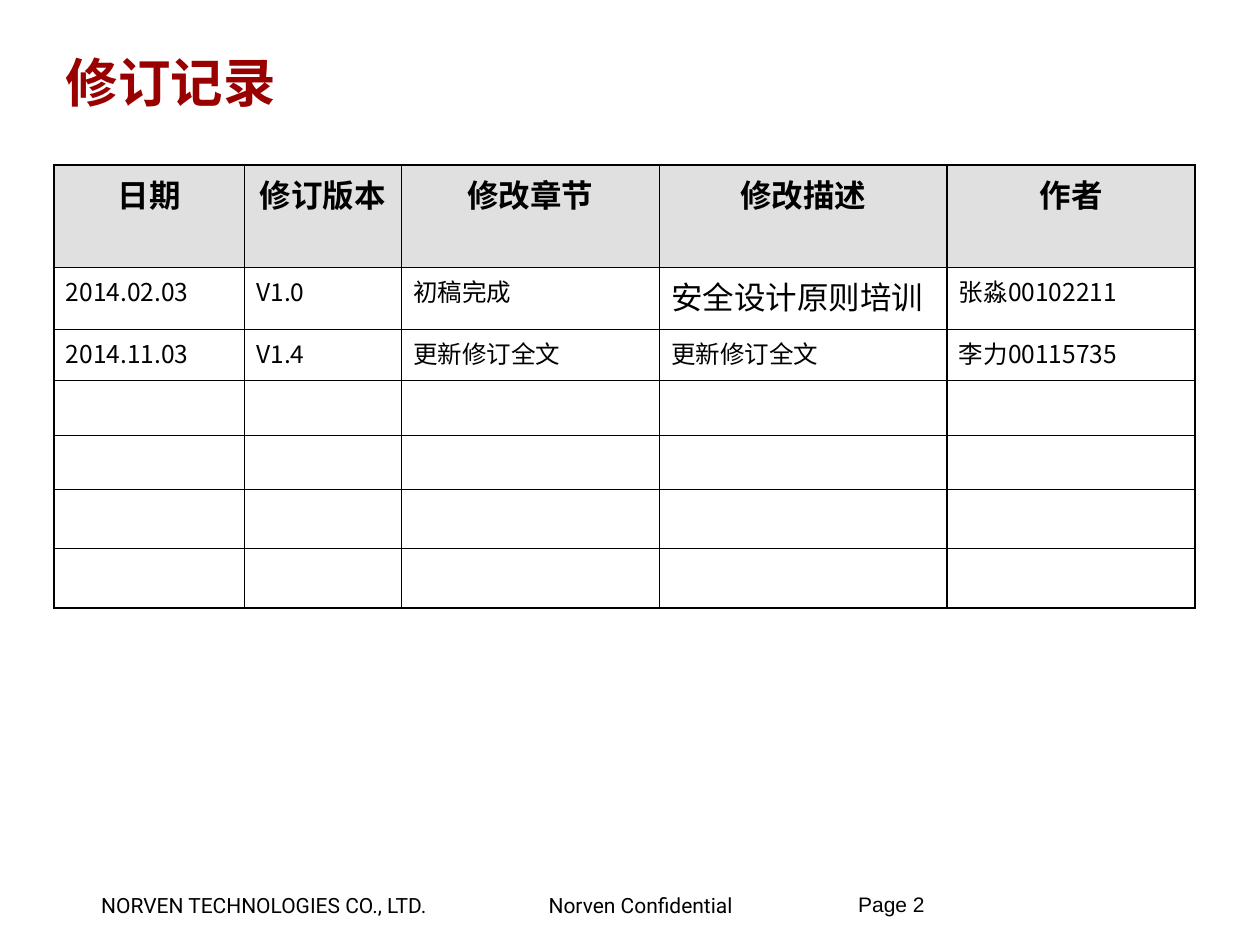
from dataclasses import dataclass

from lxml.etree import SubElement
from pptx import Presentation
from pptx.dml.color import RGBColor
from pptx.enum.text import MSO_ANCHOR, MSO_AUTO_SIZE, PP_ALIGN
from pptx.oxml.ns import qn
from pptx.util import Cm, Pt


@dataclass(frozen=True)
class Theme:
    ink: str = "000000"
    title_red: str = "990000"
    header_grey: str = "E0E0E0"
    chinese_font: str = "Noto Sans CJK SC"
    footer_font: str = "Roboto"
    page_font: str = "Arial"
    title_size: int = 30
    header_size: int = 18
    body_size: int = 14
    footer_size: int = 12
    border_width: float = 1
    margin_x: float = 0.24
    margin_y: float = 0.11


class RevisionPage:
    def __init__(self, deck, theme):
        self.theme = theme
        self.page = deck.slides.add_slide(deck.slide_layouts[5])

    def add_span(self, paragraph, text, size, font, color=None, bold=False):
        span = paragraph.add_run()
        span.text = text
        span.font.size = Pt(size)
        span.font.name = font
        span.font.bold = bold
        span.font.color.rgb = RGBColor.from_string(color or self.theme.ink)
        SubElement(span.font._element, qn("a:ea"), typeface=font)

    def set_margins(self, target, horizontal, vertical):
        target.margin_left = target.margin_right = Cm(horizontal)
        target.margin_top = target.margin_bottom = Cm(vertical)

    def title(self, text, left, top, width, height):
        theme = self.theme
        box = self.page.shapes.title
        box.left, box.top, box.width, box.height = map(Cm, (left, top, width, height))
        frame = box.text_frame
        frame.auto_size = MSO_AUTO_SIZE.NONE
        frame.vertical_anchor = MSO_ANCHOR.MIDDLE
        self.set_margins(frame, theme.margin_x, theme.margin_y)
        paragraph = frame.paragraphs[0]
        paragraph.alignment = PP_ALIGN.LEFT
        self.add_span(paragraph, text, theme.title_size, theme.chinese_font,
                      theme.title_red, bold=True)

    def footer(self, text, left, top, width, height, font, margins, spacing=1.0):
        box = self.page.shapes.add_textbox(*map(Cm, (left, top, width, height)))
        frame = box.text_frame
        frame.word_wrap = True
        self.set_margins(frame, *margins)
        paragraph = frame.paragraphs[0]
        paragraph.line_spacing = spacing
        self.add_span(paragraph, text, self.theme.footer_size, font)

    def border(self, cell):
        properties = cell._tc.get_or_add_tcPr()
        for side in ("lnL", "lnR", "lnT", "lnB"):
            line = SubElement(properties, qn(f"a:{side}"),
                              w=str(Pt(self.theme.border_width)))
            fill = SubElement(line, qn("a:solidFill"))
            SubElement(fill, qn("a:srgbClr"), val=self.theme.ink)

    def table(self, records, left, top, widths, heights, large_cells=()):
        """Draw the records, header first; rows beyond them stay blank."""
        theme = self.theme
        frame = self.page.shapes.add_table(
            len(heights), len(widths), Cm(left), Cm(top),
            Cm(sum(widths)), Cm(sum(heights)))
        table = frame.table
        table.first_row = table.horz_banding = False
        for column, width in zip(table.columns, widths):
            column.width = Cm(width)
        for row_index, (row, height) in enumerate(zip(table.rows, heights)):
            row.height = Cm(height)
            is_header = row_index == 0
            for column_index, cell in enumerate(row.cells):
                self.set_margins(cell, theme.margin_x, theme.margin_y)
                self.border(cell)
                if is_header:
                    cell.fill.solid()
                    cell.fill.fore_color.rgb = RGBColor.from_string(theme.header_grey)
                else:
                    cell.fill.background()
                if row_index >= len(records):
                    continue
                paragraph = cell.text_frame.paragraphs[0]
                paragraph.alignment = PP_ALIGN.CENTER if is_header else PP_ALIGN.LEFT
                is_large = is_header or (row_index, column_index) in large_cells
                self.add_span(paragraph, records[row_index][column_index],
                              theme.header_size if is_large else theme.body_size,
                              theme.chinese_font, bold=is_header)


def main():
    deck = Presentation()
    deck.slide_width, deck.slide_height = Cm(25.4), Cm(19.05)
    theme = Theme()
    page = RevisionPage(deck, theme)

    footer_margins = (theme.margin_x, theme.margin_y)
    for text, left, width in (
        ("NORVEN TECHNOLOGIES CO., LTD.", 1.8, 7.8),
        ("Norven Confidential", 10.82, 5),
    ):
        page.footer(text, left, 17.88, width, 0.74, theme.footer_font, footer_margins)
    page.footer("Page 2", 17.3, 18.06, 2.21, 0.6, theme.page_font, (0, 0), spacing=0.85)

    page.title("修订记录", 1.09, 0.74, 23.01, 1.8)
    records = [
        ("日期", "修订版本", "修改章节", "修改描述", "作者"),
        ("2014.02.03", "V1.0", "初稿完成", "安全设计原则培训", "张淼00102211"),
        ("2014.11.03", "V1.4", "更新修订全文", "更新修订全文", "李力00115735"),
    ]
    page.table(records, 1.09, 3.33,
               widths=(3.84, 3.16, 5.2, 5.8, 5),
               heights=(2.06, 1.25, 1.03, 1.11, 1.09, 1.19, 1.2),
               large_cells={(1, 3)})
    deck.save("out.pptx")


if __name__ == "__main__":
    main()
